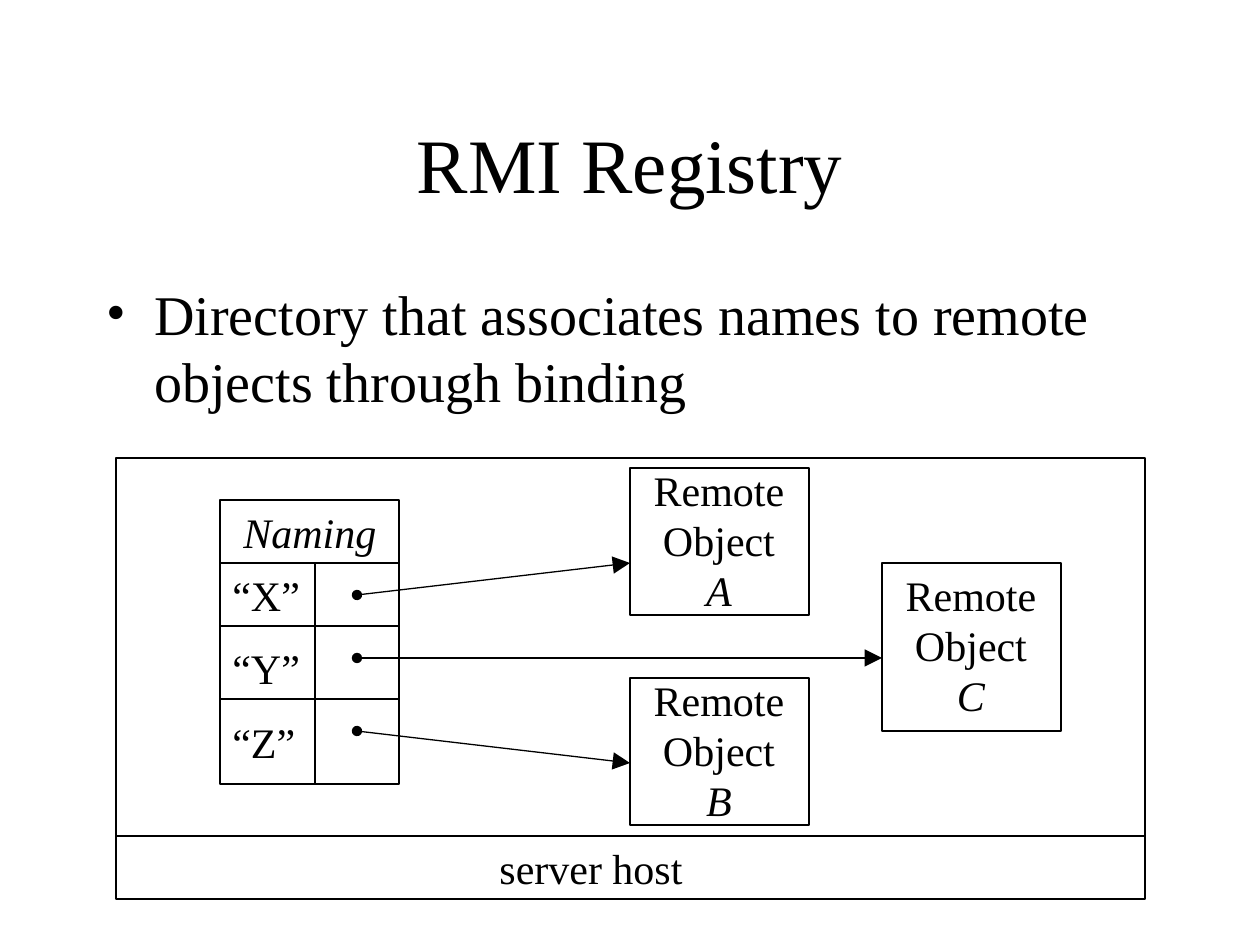
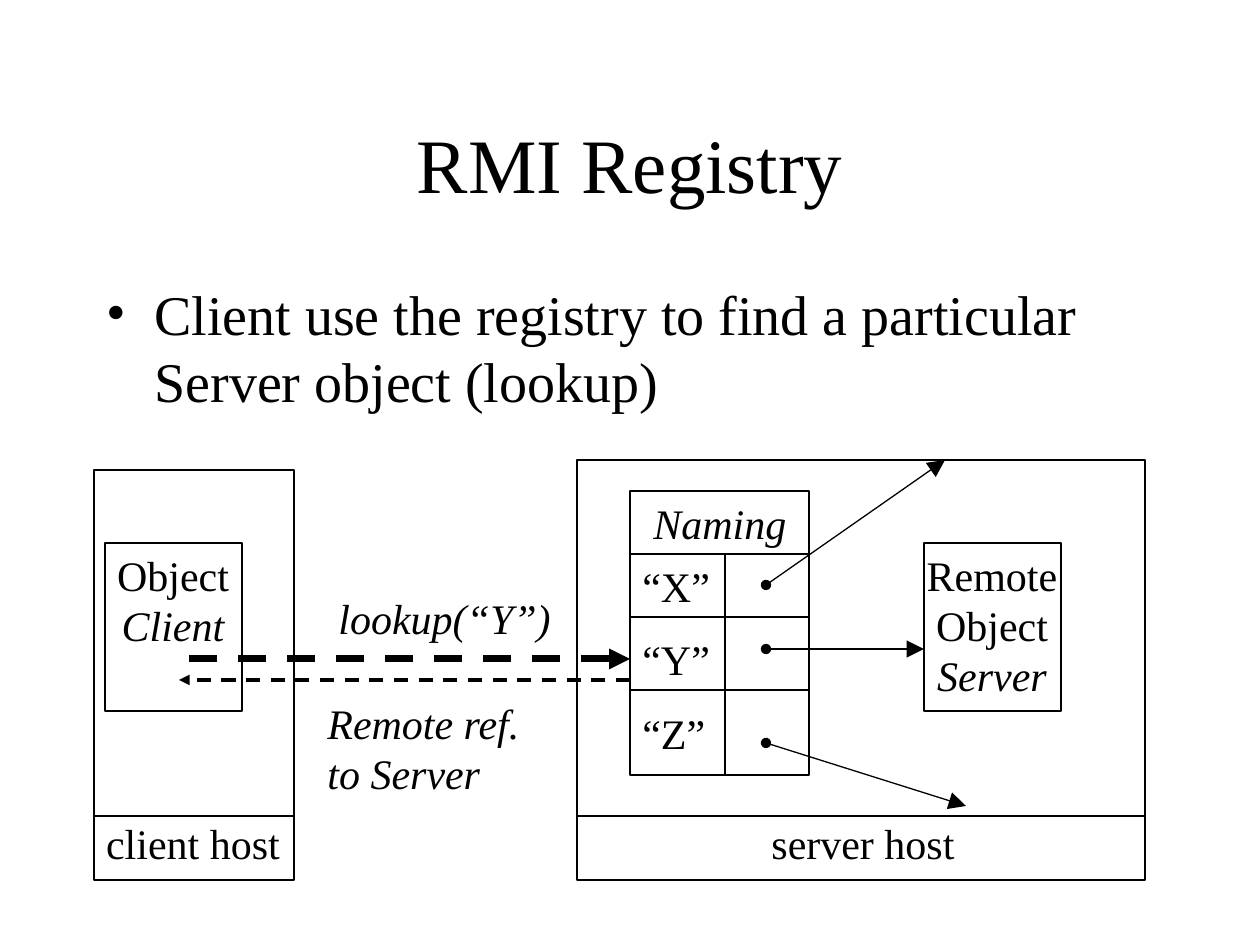
from lxml import etree
from pptx import Presentation
from pptx.dml.color import RGBColor
from pptx.enum.dml import MSO_LINE
from pptx.enum.shapes import MSO_CONNECTOR, MSO_SHAPE
from pptx.enum.text import MSO_ANCHOR, MSO_AUTO_SIZE, PP_ALIGN
from pptx.oxml.ns import qn
from pptx.util import Pt

RECT, LINE = MSO_SHAPE.RECTANGLE, MSO_CONNECTOR.STRAIGHT
LEFT, CENTER = PP_ALIGN.LEFT, PP_ALIGN.CENTER
MIDDLE, DASH, GROW = MSO_ANCHOR.MIDDLE, MSO_LINE.DASH, MSO_AUTO_SIZE.SHAPE_TO_FIT_TEXT

SCALE = 914400 / 126  # EMU in one px
COLORS = {"ink": "000000", "page": "FFFFFF"}
FONT = "Times New Roman"
THIN = 0.75

TITLE = "RMI Registry"
TITLE_BOX = (94, 84, 1072, 158)
BODY_BOX = (94, 273, 1072, 168)
HANG = 48

# Registry parts, measured from its top left corner
HEAD = "Naming"
NAMES = [("“X”", 63), ("“Y”", 136), ("“Z”", 210)]  # name, top
REG_W, REG_H, REG_COL = 179, 284, 95
REG_ROWS = (63, 126, 199)
NAME_W = 98

LABEL_W = 160
LABEL_H = {1: 63, 2: 113, 3: 164}

# hosts: frame, bar top, name, name box corner and width
# objects: box, label top, lines (the last is in italics)
# notes: corner and width, lines
# calls: start, end, width of dashed line
SLIDES = [
    {
        "body": "Directory that associates names to remote objects through binding",
        "hosts": [((116, 458, 1029, 441), 836, "server host", (486, 836, 210))],
        "objects": [
            ((882, 563, 179, 168), 563, ["Remote", "Object", "C"]),
            ((630, 468, 179, 147), 458, ["Remote", "Object", "A"]),
            ((630, 678, 179, 147), 668, ["Remote", "Object", "B"]),
        ],
        "registry": (220, 500),
        "refs": [
            ((357, 595), (630, 563)),
            ((357, 658), (882, 658)),
            ((357, 731), (630, 763)),
        ],
        "calls": [],
        "notes": [],
    },
    {
        "body": "Client use the registry to find a particular Server object (lookup)",
        "hosts": [
            ((94, 470, 200, 410), 816, "client host", (84, 811, 218)),
            ((577, 460, 568, 420), 816, "server host", (758, 811, 210)),
        ],
        "objects": [
            ((105, 543, 137, 168), 543, ["Object", "Client"]),
            ((924, 543, 137, 168), 543, ["Remote", "Object", "Server"]),
        ],
        "registry": (630, 491),
        "refs": [
            ((766, 649), (924, 649)),
            ((766, 585), (945, 460)),
            ((766, 743), (966, 806)),
        ],
        "calls": [((189, 659), (630, 659), 4), ((630, 680), (179, 680), 2)],
        "notes": [
            ((326, 586, 246), ["lookup(“Y”)"]),
            ((315, 691, 236), ["Remote ref.", "to Server"]),
        ],
    },
]


def emu(*px):
    return [round(n * SCALE) for n in px]


def color(name):
    return RGBColor.from_string(COLORS[name])


def write(slide, box, lines, size=24, align=LEFT, lean=0):
    """Add a text box; the last `lean` lines are in italics."""
    frame = slide.shapes.add_textbox(*emu(*box)).text_frame
    frame.word_wrap = False
    for i, line in enumerate(lines):
        para = frame.paragraphs[0] if i == 0 else frame.add_paragraph()
        para.alignment = align
        run = para.add_run()
        run.text = line
        font = run.font
        font.name, font.size = FONT, Pt(size)
        font.color.rgb = color("ink")
        if i >= len(lines) - lean:
            font.italic = True
    return frame


def label(slide, corner, lines, **style):
    """Add a diagram label from left, top and width."""
    frame = write(slide, (*corner, LABEL_H[len(lines)]), lines, **style)
    frame.auto_size = GROW


def bullet(para):
    props = para._p.get_or_add_pPr()
    hang = emu(HANG)[0]
    props.set("marL", str(hang))
    props.set("indent", str(-hang))
    etree.SubElement(props, qn("a:buFont"), typeface=FONT)
    etree.SubElement(props, qn("a:buChar"), char="•")


def frame_box(slide, box):
    shape = slide.shapes.add_shape(RECT, *emu(*box))
    shape.shadow.inherit = False
    shape.fill.background()
    shape.line.color.rgb = color("ink")
    shape.line.width = Pt(THIN)


def link(slide, start, end, width=THIN, dash=False, head=None, tail=None, size="med"):
    """Draw a line; `size` is that of the mark at its end."""
    wire = slide.shapes.add_connector(LINE, *emu(*start, *end))
    wire.line.color.rgb = color("ink")
    wire.line.width = Pt(width)
    if dash:
        wire.line.dash_style = DASH
    props = wire.line._get_or_add_ln()
    if head:
        etree.SubElement(props, qn("a:headEnd"), type=head)
    if tail:
        etree.SubElement(props, qn("a:tailEnd"), type=tail, w=size, len=size)
    etree.SubElement(wire._element.spPr, qn("a:effectLst"))


def add_host(slide, box, bar, name, spot):
    x, _, w, _ = box
    frame_box(slide, box)
    link(slide, (x, bar), (x + w, bar))
    label(slide, spot, [name], align=CENTER)


def add_object(slide, box, top, lines):
    x, _, w, _ = box
    frame_box(slide, box)
    label(slide, (x + (w - LABEL_W) // 2, top, LABEL_W), lines, align=CENTER, lean=1)


def add_registry(slide, x, y):
    frame_box(slide, (x, y, REG_W, REG_H))
    for row in REG_ROWS:
        link(slide, (x, y + row), (x + REG_W, y + row))
    link(slide, (x + REG_COL, y + REG_ROWS[0]), (x + REG_COL, y + REG_H))
    label(slide, (x + 11, y, LABEL_W), [HEAD], lean=1)
    for name, top in NAMES:
        label(slide, (x, y + top, NAME_W), [name])


def add_slide(deck, data):
    slide = deck.slides.add_slide(deck.slide_layouts[6])
    slide.background.fill.solid()
    slide.background.fill.fore_color.rgb = color("page")

    title = write(slide, TITLE_BOX, [TITLE], size=44, align=CENTER)
    title.word_wrap = True
    title.vertical_anchor = MIDDLE
    body = write(slide, BODY_BOX, [data["body"]], size=32)
    body.word_wrap = True
    bullet(body.paragraphs[0])

    for host in data["hosts"]:
        add_host(slide, *host)
    for item in data["objects"]:
        add_object(slide, *item)
    add_registry(slide, *data["registry"])
    for start, end in data["refs"]:
        link(slide, start, end, head="oval", tail="triangle", size="lg")
    for start, end, width in data["calls"]:
        link(slide, start, end, width, dash=True, tail="triangle")
    for corner, lines in data["notes"]:
        label(slide, corner, lines, lean=len(lines))


def main():
    deck = Presentation()
    deck.slide_width, deck.slide_height = emu(1260, 945)
    for data in SLIDES:
        add_slide(deck, data)
    deck.save("out.pptx")


if __name__ == "__main__":
    main()
